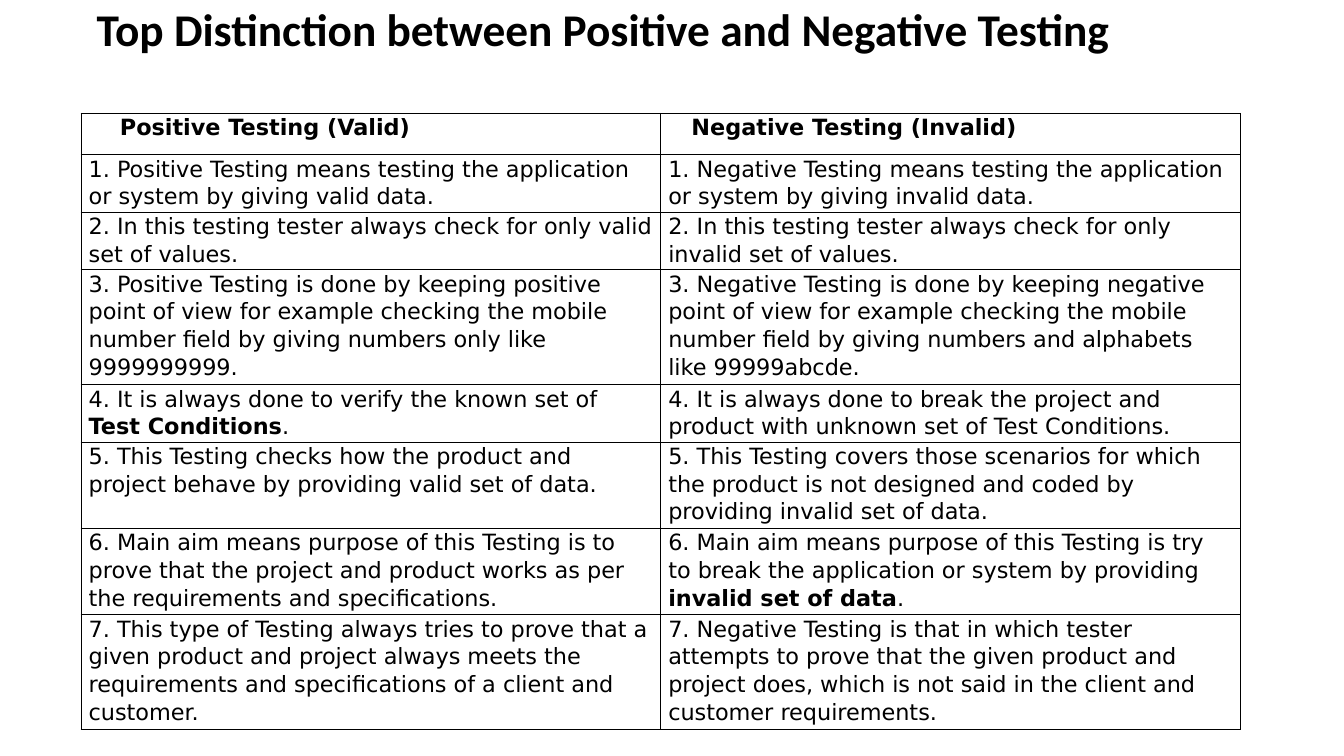
from lxml.etree import SubElement
from pptx import Presentation
from pptx.dml.color import RGBColor
from pptx.enum.text import MSO_ANCHOR
from pptx.oxml.ns import qn
from pptx.util import Inches, Pt

BLACK = RGBColor(0x00, 0x00, 0x00)
GRID_STEP = 0.1  # inches per grid column and row
SLIDE_COLUMNS, SLIDE_ROWS = 133.33, 75

TITLE = "Top Distinction between Positive and Negative Testing"
HEADINGS = ["Positive Testing (Valid)", "Negative Testing (Invalid)"]
HEADING_INDENTS = [3.1, 2.3]
# Asterisks enclose bold words.
COMPARISONS = [
    ("1. Positive Testing means testing the application or system by giving valid data.",
     "1. Negative Testing means testing the application or system by giving invalid data."),
    ("2. In this testing tester always check for only valid set of values.",
     "2. In this testing tester always check for only invalid set of values."),
    ("3. Positive Testing is done by keeping positive point of view for example checking "
     "the mobile number field by giving numbers only like 9999999999.",
     "3. Negative Testing is done by keeping negative point of view for example checking "
     "the mobile number field by giving numbers and alphabets like 99999abcde."),
    ("4. It is always done to verify the known set of *Test Conditions*.",
     "4. It is always done to break the project and product with unknown set of Test Conditions."),
    ("5. This Testing checks how the product and project behave by providing valid set of data.",
     "5. This Testing covers those scenarios for which the product is not designed and coded "
     "by providing invalid set of data."),
    ("6. Main aim means purpose of this Testing is to prove that the project and product "
     "works as per the requirements and specifications.",
     "6. Main aim means purpose of this Testing is try to break the application or system "
     "by providing *invalid set of data*."),
    ("7. This type of Testing always tries to prove that a given product and project always "
     "meets the requirements and specifications of a client and customer.",
     "7. Negative Testing is that in which tester attempts to prove that the given product "
     "and project does, which is not said in the client and customer requirements."),
]


def grid(steps):
    """Turn a number of grid steps into a length."""
    return Inches(steps * GRID_STEP)


class ComparisonPage:
    title_font, title_size = "Calibri", 32.4
    table_font, table_size = "DejaVu Sans", 16
    cell_margin, row_height = 0.75, 4.1

    def __init__(self, deck):
        self.page = deck.slides.add_slide(deck.slide_layouts[6])

    def style(self, paragraph, name, size, line_spacing):
        paragraph.font.name = name
        paragraph.font.size = Pt(size)
        paragraph.font.color.rgb = BLACK
        paragraph.line_spacing = line_spacing

    def title(self, text, left, top, width, height):
        box = self.page.shapes.add_textbox(*map(grid, (left, top, width, height)))
        frame = box.text_frame
        frame.word_wrap = True
        frame.vertical_anchor = MSO_ANCHOR.MIDDLE
        para = frame.paragraphs[0]
        para.text = text
        self.style(para, self.title_font, self.title_size, 0.9)
        para.font.bold = True

    def table(self, headings, indents, body, left, top, width, height):
        """Add a table whose rows start low and grow with their text."""
        frame = self.page.shapes.add_table(
            len(body) + 1, len(headings), *map(grid, (left, top, width, height)))
        table = frame.table
        table.first_row = table.horz_banding = False
        for row in table.rows:
            row.height = grid(self.row_height)
        frame.height = grid(height)
        for cell, heading, indent in zip(table.rows[0].cells, headings, indents):
            self.cell(cell, f"*{heading}*", indent)
        for row, texts in zip(list(table.rows)[1:], body):
            for cell, text in zip(row.cells, texts):
                self.cell(cell, text)

    def cell(self, cell, text, indent=0):
        cell.margin_left = grid(self.cell_margin + indent)
        cell.margin_right = grid(self.cell_margin)
        cell.margin_top = cell.margin_bottom = 0
        para = cell.text_frame.paragraphs[0]
        self.style(para, self.table_font, self.table_size, 1.07)
        para.space_after = Pt(8)
        for position, words in enumerate(text.split("*")):
            if words:
                span = para.add_run()
                span.text = words
                span.font.bold = position % 2 == 1
        self.border(cell)
        cell.fill.background()

    def border(self, cell):
        properties = cell._tc.get_or_add_tcPr()
        for side in ("a:lnL", "a:lnR", "a:lnT", "a:lnB"):
            line = SubElement(properties, qn(side), w=str(Pt(1)))
            fill = SubElement(line, qn("a:solidFill"))
            SubElement(fill, qn("a:srgbClr"), val=str(BLACK))


def main():
    deck = Presentation()
    deck.slide_width, deck.slide_height = grid(SLIDE_COLUMNS), grid(SLIDE_ROWS)
    page = ComparisonPage(deck)
    page.title(TITLE, left=8.6, top=0, width=115, height=6.3)
    page.table(HEADINGS, HEADING_INDENTS, COMPARISONS,
               left=8.05, top=11.25, width=115, height=61.1)
    deck.save("out.pptx")


if __name__ == "__main__":
    main()
